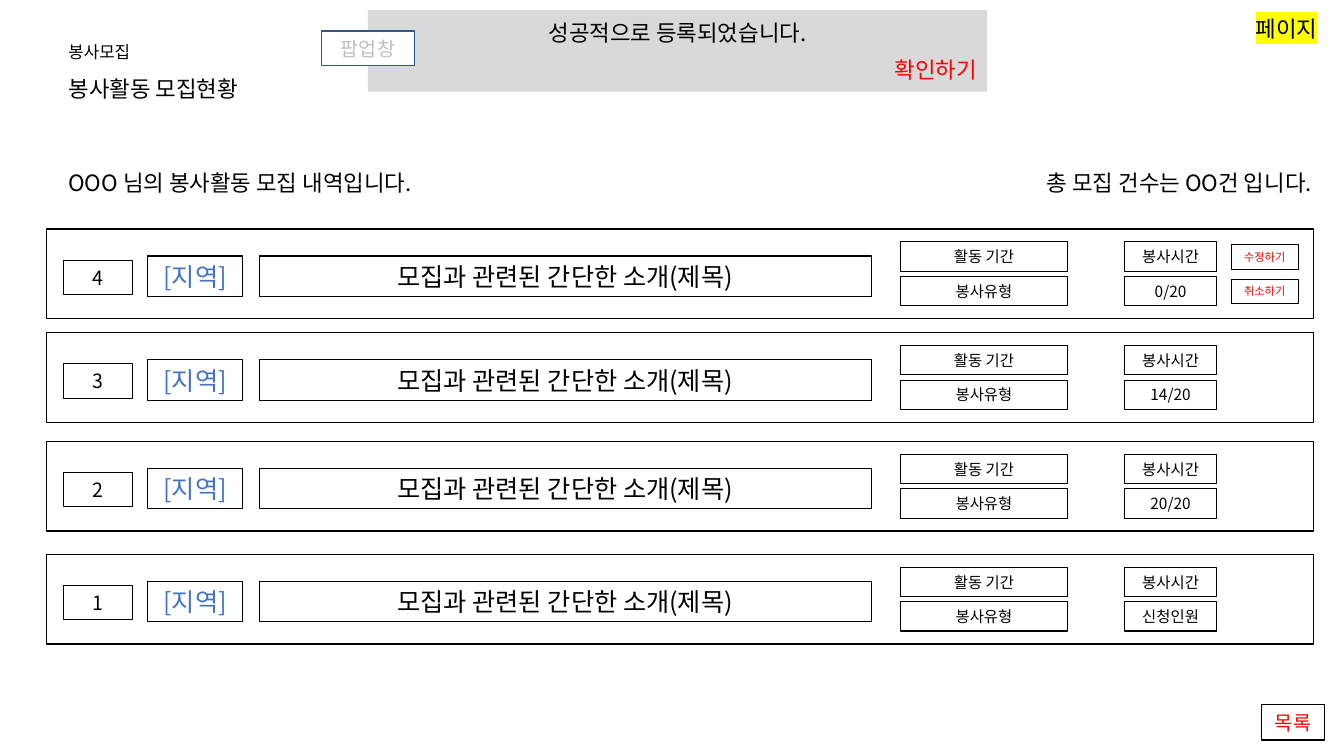
from pptx import Presentation, util as u
from pptx.dml.color import RGBColor
from pptx.enum import shapes, text
from pptx.oxml import ns
from lxml import etree

LEFT, CENTER, RIGHT = text.PP_ALIGN.LEFT, text.PP_ALIGN.CENTER, text.PP_ALIGN.RIGHT
BLACK, WHITE, RED, BLUE = "000000", "FFFFFF", "FF0000", "4472C4"
GREY, PALE, NAVY, YELLOW = "D9D9D9", "BFBFBF", "325491", "FFFF00"


def color(value):
    """Turn a hex string into a colour."""
    return RGBColor.from_string(value)


class Board:
    """Hold the style and the current slide."""

    font = "Noto Sans CJK KR"
    frame_format = dict(word_wrap=True, auto_size=text.MSO_AUTO_SIZE.NONE,
                        vertical_anchor=text.MSO_ANCHOR.MIDDLE,
                        margin_left=u.Inches(0.1), margin_right=u.Inches(0.1),
                        margin_top=0, margin_bottom=0)

    def __init__(self, deck):
        """Add a title-only slide to the deck."""
        self.slide = deck.slides.add_slide(deck.slide_layouts[5])

    def apply(self, target, values):
        """Set attributes from a dict of format values."""
        for name, value in values.items():
            setattr(target, name, value)

    def add_words(self, box, words, size, ink=BLACK, align=CENTER, mark=None, para=None, before=0):
        """Put one formatted paragraph into a box."""
        self.apply(box.text_frame, self.frame_format)
        para = para or box.text_frame.paragraphs[0]
        self.apply(para, dict(alignment=align, space_before=u.Pt(before)))
        span = para.add_run()
        span.text = words
        self.apply(span.font, dict(name=self.font, size=u.Pt(size)))
        span.font.color.rgb = color(ink)
        props = span.font._element
        east = etree.Element(ns.qn("a:ea"), typeface=self.font)
        props.find(ns.qn("a:latin")).addnext(east)
        if mark:
            highlight = etree.Element(ns.qn("a:highlight"))
            etree.SubElement(highlight, ns.qn("a:srgbClr"), val=mark)
            props.find(ns.qn("a:solidFill")).addnext(highlight)

    def title(self, place, words, size):
        """Move and fill the title placeholder."""
        box = self.slide.shapes.title
        names = ("left", "top", "width", "height")
        self.apply(box, dict(zip(names, map(u.Inches, place))))
        self.add_words(box, words, size, align=LEFT)

    def label(self, place, words, size, **style):
        """Add a text box."""
        box = self.slide.shapes.add_textbox(*map(u.Inches, place))
        self.add_words(box, words, size, **style)

    def rect(self, place, words="", size=11, fill=None, line=BLACK, weight=0.75,
             parent=None, **style):
        """Add a rectangle with optional text."""
        home = (parent or self.slide).shapes
        box = home.add_shape(shapes.MSO_SHAPE.RECTANGLE, *map(u.Inches, place))
        box.shadow.inherit = False
        if fill:
            box.fill.solid()
            box.fill.fore_color.rgb = color(fill)
        else:
            box.fill.background()
        if line:
            box.line.color.rgb = color(line)
            box.line.width = u.Pt(weight)
        else:
            box.line.fill.background()
        if words:
            self.add_words(box, words, size, **style)
        return box

    def card(self, top, number, status, buttons=()):
        """Add one recruitment entry as a group."""
        group = self.slide.shapes.add_group_shape()
        self.rect((0.46, top, 12.57, 0.89), fill=WHITE, weight=1, parent=group)
        cells = [
            (0.63, 0.31, 0.68, 0.34, number, 14, BLACK),
            (1.46, 0.27, 0.95, 0.4, "[지역]", 18, BLUE),
            (2.57, 0.27, 6.07, 0.4, "모집과 관련된 간단한 소개(제목)", 18, BLACK),
        ]
        columns = [(8.93, 1.66, ("활동 기간", "봉사유형")), (11.15, 0.92, ("봉사시간", status))]
        for left, width, column in columns:
            for row, words in enumerate(column):
                cells.append((left, 0.13 + 0.34 * row, width, 0.29, words, 11, BLACK))
        for row, words in enumerate(buttons):
            cells.append((12.21, 0.16 + 0.34 * row, 0.67, 0.24, words, 8, RED))
        for left, drop, width, height, words, size, ink in cells:
            self.rect((left, top + drop, width, height), words, size, ink=ink, parent=group)


deck = Presentation()
deck.slide_width, deck.slide_height = u.Inches(13.33), u.Inches(7.5)
board = Board(deck)

board.label((0.58, 0.36, 1.68, 0.3), "봉사모집", 12, align=LEFT)
board.title((0.58, 0.69, 4.62, 0.37), "봉사활동 모집현황", 16)
board.label((12.29, 0.1, 0.94, 0.37), "페이지", 16, mark=YELLOW)
board.label((0.58, 1.63, 4.62, 0.37), "OOO 님의 봉사활동 모집 내역입니다.", 16, align=LEFT)
board.label((9.79, 1.63, 3.32, 0.37), "총 모집 건수는 OO건 입니다.", 16, align=RIGHT)

cards = [
    (2.27, "4", "0/20", ("수정하기", "취소하기")),
    (3.3, "3", "14/20"),
    (4.38, "2", "20/20"),
    (5.5, "1", "신청인원"),
]
for card in cards:
    board.card(*card)

popup = board.rect((3.65, 0.1, 6.14, 0.81), "성공적으로 등록되었습니다.", 16, fill=GREY, line=None)
board.add_words(popup, "확인하기", 16, ink=RED, align=RIGHT,
                para=popup.text_frame.add_paragraph(), before=7.5)
board.rect((3.19, 0.31, 0.92, 0.34), "팝업창", 14, fill=WHITE, line=NAVY, weight=1, ink=PALE)
board.rect((12.51, 6.99, 0.63, 0.35), "목록", 14, fill=WHITE, weight=1, ink=RED)

deck.save("out.pptx")
